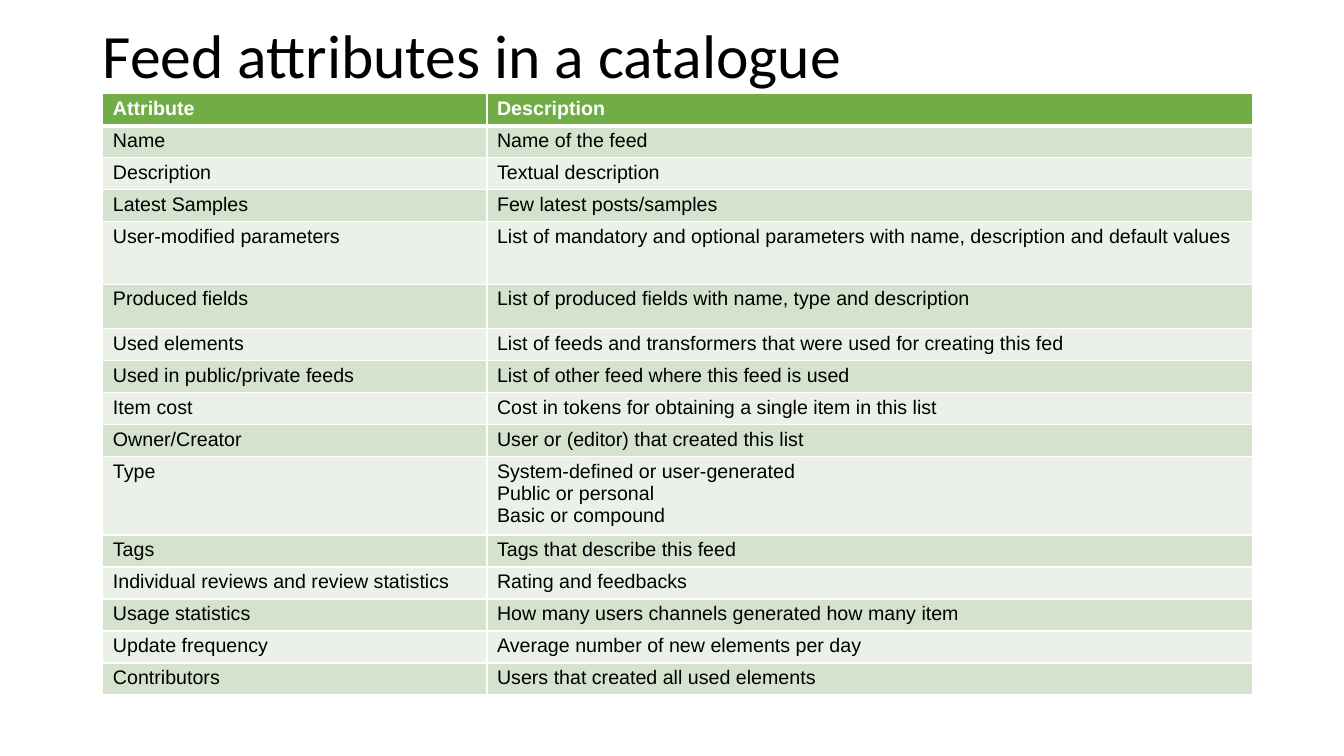
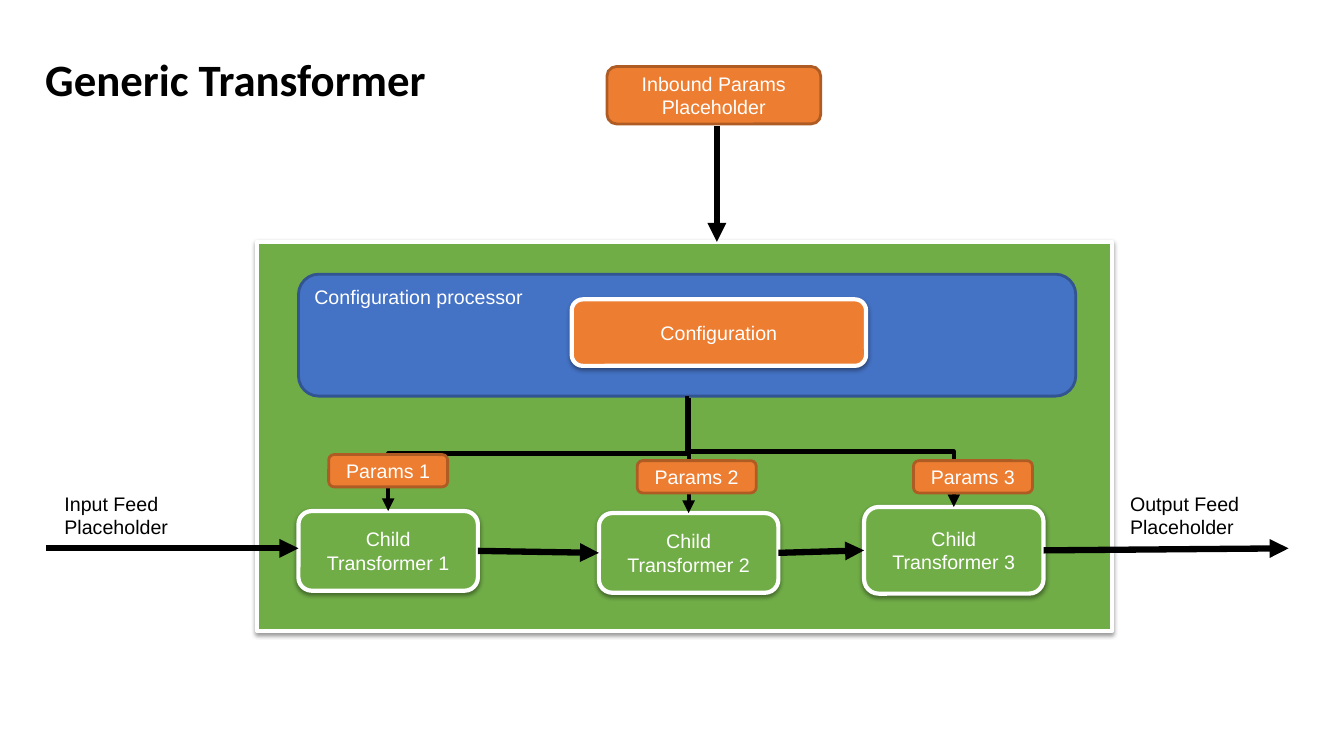
from lxml import etree
from pptx import Presentation
from pptx import util as u
from pptx.dml.color import RGBColor
from pptx.enum import shapes, text
from pptx.oxml import ns

PX = 9144
COLORS = {
    "white": "FFFFFF",
    "black": "000000",
    "green": "70AD47",
    "band_dark": "D4E2CE",
    "band_light": "EBF1E8",
    "blue": "4472C4",
    "blue_edge": "325491",
    "orange": "ED7D31",
    "orange_edge": "AF5C24",
}
BODY_FONT, TITLE_FONT = "Arial", "Calibri"
BODY_SIZE = 14
TOP, LEFT, BOTTOM, RIGHT = range(4)
RECT = shapes.MSO_SHAPE.RECTANGLE
ROUND = shapes.MSO_SHAPE.ROUNDED_RECTANGLE
ALIGN = text.PP_ALIGN
ANCHOR = text.MSO_ANCHOR

ATTRIBUTES = [
    ("Attribute", "Description"),
    ("Name", "Name of the feed"),
    ("Description", "Textual description"),
    ("Latest Samples", "Few latest posts/samples"),
    ("User-modified parameters",
     "List of mandatory and optional parameters with name, description and default values"),
    ("Produced fields", "List of produced fields with name, type and description"),
    ("Used elements", "List of feeds and transformers that were used for creating this fed"),
    ("Used in public/private feeds", "List of other feed where this feed is used"),
    ("Item cost", "Cost in tokens for obtaining a single item in this list"),
    ("Owner/Creator", "User or (editor) that created this list"),
    ("Type", "System-defined or user-generated\nPublic or personal\nBasic or compound"),
    ("Tags", "Tags that describe this feed"),
    ("Individual reviews and review statistics", "Rating and feedbacks"),
    ("Usage statistics", "How many users channels generated how many item"),
    ("Update frequency", "Average number of new elements per day"),
    ("Contributors", "Users that created all used elements"),
]
TALL_ROWS = {4: 62, 5: 44, 10: 75}


def emu(*lengths):
    return [u.Emu(round(n * PX)) for n in lengths]


def rgb(name):
    return RGBColor.from_string(COLORS[name])


def sub(parent, tag, **attrs):
    return etree.SubElement(parent, ns.qn(tag), attrs)


def write(tf, content, color, size=BODY_SIZE, font=BODY_FONT, bold=False,
          align=ALIGN.LEFT, spacing=None):
    for i, line in enumerate(content.split("\n")):
        p = tf.paragraphs[0] if i == 0 else tf.add_paragraph()
        p.alignment = align
        if spacing:
            p.line_spacing = spacing
        r = p.add_run()
        r.text = line
        r.font.name, r.font.size, r.font.bold = font, u.Pt(size), bold
        r.font.color.rgb = rgb(color)


def add_label(s, box, content, anchor=ANCHOR.TOP, **style):
    tf = s.shapes.add_textbox(*emu(*box)).text_frame
    tf.word_wrap = True
    tf.vertical_anchor = anchor
    write(tf, content, "black", **style)


def add_title(s, box, content, size, bold=False):
    add_label(s, box, content, ANCHOR.MIDDLE, size=size, font=TITLE_FONT,
              bold=bold, spacing=0.9)


def add_box(s, box, fill, edge, content="", kind=ROUND, align=ALIGN.CENTER,
            anchor=ANCHOR.MIDDLE):
    sp = s.shapes.add_shape(kind, *emu(*box))
    sp.fill.solid()
    sp.fill.fore_color.rgb = rgb(fill)
    sp.line.color.rgb = rgb(edge)
    sp.line.width = u.Pt(3 if edge == "white" else 2)
    sp.shadow.inherit = False
    if edge == "white":
        effects = sp._element.spPr.find(ns.qn("a:effectLst"))
        shadow = sub(effects, "a:outerShdw", blurRad="40000", dist="20000",
                     dir="5400000", rotWithShape="0")
        color = sub(shadow, "a:srgbClr", val=COLORS["black"])
        sub(color, "a:alpha", val="38000")
    if content:
        tf = sp.text_frame
        tf.word_wrap = True
        tf.vertical_anchor = anchor
        write(tf, content, "white", align=align)
    return sp


def add_arrow(s, start, end, width=4.5, begin=None, finish=None,
              kind=shapes.MSO_CONNECTOR.STRAIGHT):
    c = s.shapes.add_connector(kind, *emu(*start, *end))
    c.line.color.rgb = rgb("black")
    c.line.width = u.Pt(width)
    sub(c.line._get_or_add_ln(), "a:tailEnd", type="triangle")
    sub(c._element.spPr, "a:effectLst")
    if begin:
        c.begin_connect(*begin)
    if finish:
        c.end_connect(*finish)
    return c


def add_drop(s, start, end, begin, finish):
    c = add_arrow(s, start, end, 3, begin, finish, shapes.MSO_CONNECTOR.ELBOW)
    (x1, y1), (x2, y2) = start, end
    across, down = abs(x2 - x1), y2 - y1
    c.left, c.top, c.width, c.height = emu(
        (x1 + x2 - down) / 2, (y1 + y2 - across) / 2, down, across)
    xfrm = c._element.spPr.xfrm
    for flip in ("flipH", "flipV"):
        xfrm.attrib.pop(flip, None)
    if x2 > x1:
        xfrm.set("rot", "16200000")
        xfrm.set("flipH", "1")
    else:
        xfrm.set("rot", "5400000")


def set_borders(cell, top, bottom):
    tcPr = cell._tc.get_or_add_tcPr()
    sides = {"a:lnL": 1, "a:lnR": 1, "a:lnT": top, "a:lnB": bottom}
    for i, (tag, width) in enumerate(sides.items()):
        ln = sub(tcPr, tag, w=str(u.Pt(width)))
        sub(sub(ln, "a:solidFill"), "a:srgbClr", val=COLORS["white"])
        tcPr.insert(i, ln)


def add_attribute_table(s, box, widths):
    table = s.shapes.add_table(len(ATTRIBUTES), len(widths), *emu(*box)).table
    for column, width in zip(table.columns, widths):
        column.width = emu(width)[0]
    base = (box[3] - sum(TALL_ROWS.values())) / (len(ATTRIBUTES) - len(TALL_ROWS))
    for i, row in enumerate(ATTRIBUTES):
        table.rows[i].height = emu(TALL_ROWS.get(i, base))[0]
        header = i == 0
        fill = "green" if header else "band_dark" if i % 2 else "band_light"
        for j, content in enumerate(row):
            cell = table.cell(i, j)
            cell.margin_top, cell.margin_bottom = emu(4, 4)
            cell.fill.solid()
            cell.fill.fore_color.rgb = rgb(fill)
            set_borders(cell, 3 if i == 1 else 1, 3 if header else 1)
            write(cell.text_frame, content, "white" if header else "black", bold=header)


def build_attributes(s):
    add_title(s, (92, 15, 1150, 86), "Feed attributes in a catalogue", 44)
    add_attribute_table(s, (102, 93, 1140, 594), (381, 759))


def build_transformer(s):
    add_title(s, (35, 26, 491, 111), "Generic Transformer", 32, bold=True)
    add_box(s, (255, 240, 848, 386), "green", "white", kind=RECT)
    processor = add_box(s, (296, 272, 771, 121), "blue", "blue_edge",
                        "Configuration processor", align=ALIGN.LEFT, anchor=ANCHOR.TOP)
    add_box(s, (567, 297, 292, 66), "orange", "white", "Configuration")
    add_box(s, (602, 66, 212, 57), "orange", "orange_edge", "Inbound Params Placeholder")
    add_label(s, (54, 483, 178, 57), "Input Feed Placeholder")
    add_label(s, (1111, 483, 187, 57), "Output Feed Placeholder")

    child_boxes = [(296, 507, 178, 79), (594, 509, 178, 79), (857, 503, 178, 86)]
    children = [add_box(s, box, "green", "white", f"Child Transformer {n}")
                for n, box in enumerate(child_boxes, 1)]
    first, second, third = children

    add_arrow(s, (711, 125), (711, 240))
    add_arrow(s, (46, 544), (296, 544))
    add_arrow(s, (474, 546), (594, 548), begin=(first, RIGHT), finish=(second, LEFT))
    add_arrow(s, (772, 548), (857, 546), begin=(second, RIGHT), finish=(third, LEFT))
    add_arrow(s, (1035, 546), (1278, 544), begin=(third, RIGHT))

    add_drop(s, (681, 393), (385, 507), (processor, BOTTOM), (first, TOP))
    add_arrow(s, (683, 395), (683, 509), 3, finish=(second, TOP))
    add_drop(s, (681, 393), (946, 503), (processor, BOTTOM), (third, TOP))

    for n, (x, y) in enumerate([(326, 451), (632, 457), (906, 457)], 1):
        add_box(s, (x, y, 118, 32), "orange", "orange_edge", f"Params {n}")


def main():
    prs = Presentation()
    prs.slide_width, prs.slide_height = emu(1333, 750)
    for build in (build_attributes, build_transformer):
        build(prs.slides.add_slide(prs.slide_layouts[6]))
    prs.save("out.pptx")


if __name__ == "__main__":
    main()
